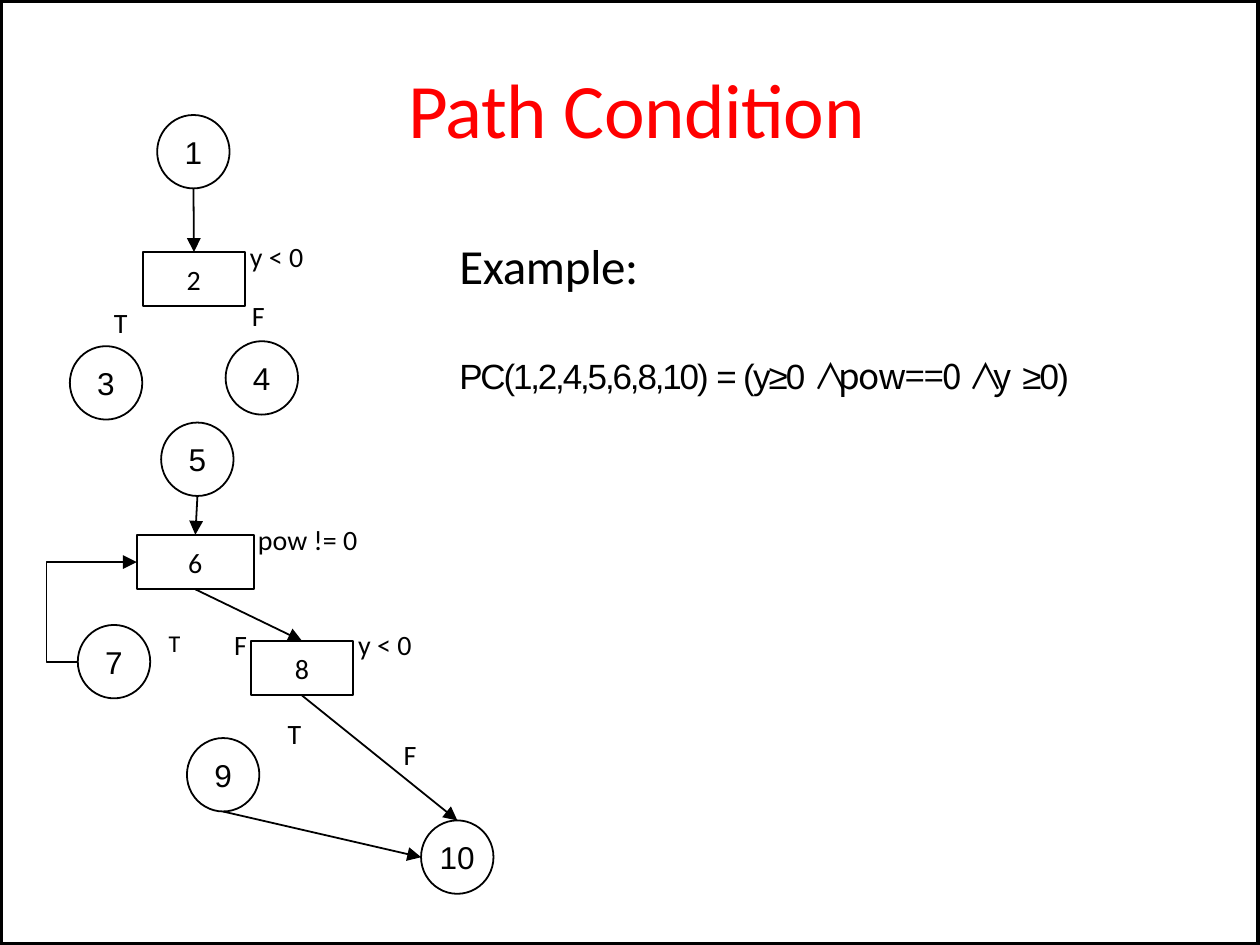
from lxml import etree
from pptx import Presentation, util as u
from pptx.dml.color import RGBColor
from pptx.enum import shapes, text
from pptx.oxml import ns

TOP, LEFT, BOTTOM, RIGHT = range(4)


def colour(hex_string):
    return RGBColor.from_string(hex_string)


class Painter:
    ink, accent = "000000", "FF0000"
    body, digits, symbols = "Calibri", "Arial", "Noto Sans CJK JP"
    thin = 0.5
    circle_w, circle_h, box_h = 0.73, 0.74, 0.55

    def __init__(self, slide):
        self.s = slide

    def run(self, p, words, size, font, spacing=0, ink=None):
        r = p.add_run()
        r.text = words
        r.font.size, r.font.name = u.Pt(size), font
        r.font.color.rgb = colour(ink or self.ink)
        rpr = r.font._element
        if spacing:
            rpr.set("spc", str(round(spacing * 100)))
        if font == self.symbols:
            etree.SubElement(rpr, ns.qn("a:ea")).set("typeface", font)
        return r

    def textbox(self, x, y, w, h, wrap=False):
        tf = self.s.shapes.add_textbox(u.Cm(x), u.Cm(y), u.Cm(w), u.Cm(h)).text_frame
        tf.word_wrap = wrap
        tf.margin_left, tf.margin_top = u.Cm(0.03), u.Cm(0.06)
        tf.margin_right = tf.margin_bottom = 0
        return tf.paragraphs[0]

    def label(self, x, y, words):
        self.run(self.textbox(x, y, 0.25 * len(words), 0.41), words, 8, self.body)

    def outline(self, sp, width):
        sp.shadow.inherit = False
        sp.fill.background()
        sp.line.color.rgb = colour(self.ink)
        sp.line.width = u.Pt(width)

    def shape(self, kind, x, y, w, h, width):
        sp = self.s.shapes.add_shape(kind, u.Cm(x), u.Cm(y), u.Cm(w), u.Cm(h))
        self.outline(sp, width)
        return sp

    def node(self, kind, x, y, w, h, words, size, font):
        sp = self.shape(kind, x, y, w, h, self.thin)
        tf = sp.text_frame
        tf.word_wrap = False
        tf.margin_left = tf.margin_top = tf.margin_right = tf.margin_bottom = 0
        tf.vertical_anchor = text.MSO_ANCHOR.MIDDLE
        p = tf.paragraphs[0]
        p.alignment = text.PP_ALIGN.CENTER
        self.run(p, words, size, font)
        return sp

    def circle(self, cx, cy, words):
        w, h = self.circle_w, self.circle_h
        return self.node(shapes.MSO_SHAPE.OVAL, cx - w / 2, cy - h / 2, w, h,
                         words, 9, self.digits)

    def box(self, x, y, w, words):
        return self.node(shapes.MSO_SHAPE.RECTANGLE, x, y, w, self.box_h,
                         words, 8, self.body)

    def side(self, sp, n):
        dx, dy = ((0.5, 0), (0, 0.5), (0.5, 1), (1, 0.5))[n]
        return int(sp.left + sp.width * dx), int(sp.top + sp.height * dy)

    def arrowhead(self, line):
        ln = line._get_or_add_ln()
        etree.SubElement(ln, ns.qn("a:tailEnd"), type="triangle", w="sm", len="sm")

    def arrow(self, start, start_side, end, end_side):
        c = self.s.shapes.add_connector(shapes.MSO_CONNECTOR.STRAIGHT,
                                        *self.side(start, start_side),
                                        *self.side(end, end_side))
        c.line.color.rgb = colour(self.ink)
        c.line.width = u.Pt(self.thin)
        self.arrowhead(c.line)
        etree.SubElement(c._element.spPr, ns.qn("a:effectLst"))
        # Ovals number their sides differently, apart from the top
        rectangle = shapes.MSO_SHAPE.RECTANGLE
        if start.auto_shape_type == rectangle:
            c.begin_connect(start, start_side)
        if end.auto_shape_type == rectangle or end_side == TOP:
            c.end_connect(end, end_side)

    def loop_back(self, start, end, x):
        (x1, y1), (x2, y2) = self.side(start, LEFT), self.side(end, LEFT)
        path = self.s.shapes.build_freeform(x1, y1)
        path.add_line_segments([(u.Cm(x), y1), (u.Cm(x), y2), (x2, y2)], close=False)
        sp = path.convert_to_shape()
        self.outline(sp, self.thin)
        self.arrowhead(sp.line)


def main():
    prs = Presentation()
    prs.slide_width, prs.slide_height = u.Cm(12.7), u.Cm(12.7 * 3 / 4)
    d = Painter(prs.slides.add_slide(prs.slide_layouts[6]))

    # Title
    p = d.textbox(4.09, 0.56, 4.72, 0.99)
    d.run(p, "Path ", 22, d.body, -0.2, d.accent)
    d.run(p, "Condition", 22, d.body, -0.1, d.accent)

    # Example
    d.run(d.textbox(4.6, 2.31, 1.9, 0.66), "Example:", 14, d.body, -0.1)
    p = d.textbox(4.6, 3.51, 6.22, 0.9, wrap=True)
    for words, font, spacing in (
        ("PC(1,2,4,5,6,8,10) ", d.digits, -0.6),
        ("= ", d.digits, -0.9),
        ("(y≥0 ", d.digits, -0.5),
        ("∧ ", d.symbols, -5),
        ("pow==0 ", d.symbols, -0.3),
        ("∧ ", d.symbols, -5),
        ("y ", d.symbols, 0.4),
        ("≥0)", d.digits, -0.5),
    ):
        d.run(p, words, 10, font, spacing)

    # Flow graph nodes
    n = {}
    for number, cx, cy in ((1, 1.95, 1.53), (3, 1.07, 3.86), (4, 2.64, 3.81),
                           (5, 1.99, 4.63), (7, 1.15, 6.67), (9, 2.25, 7.81),
                           (10, 4.61, 8.64)):
        n[number] = d.circle(cx, cy, str(number))
    for number, x, y, w in ((2, 1.44, 2.54, 1.03), (6, 1.38, 5.39, 1.18),
                            (8, 2.53, 6.46, 1.03)):
        n[number] = d.box(x, y, w, str(number))

    # Edges
    for start, end, end_side in ((1, 2, TOP), (5, 6, TOP), (6, 8, TOP),
                                 (8, 10, TOP), (9, 10, LEFT)):
        d.arrow(n[start], BOTTOM, n[end], end_side)
    d.loop_back(n[7], n[6], 0.47)

    # Conditions and branch labels
    for x, y, words in ((2.49, 2.36, "y < 0"), (1.12, 3.02, "T"), (2.51, 2.95, "F"),
                        (2.57, 5.21, "pow != 0"), (3.58, 6.27, "y < 0"),
                        (2.87, 7.16, "T"), (4.04, 7.37, "F")):
        d.label(x, y, words)
    p = d.textbox(1.67, 6.12, 0.85, 0.41)
    tabs = etree.SubElement(p._p.get_or_add_pPr(), ns.qn("a:tabLst"))
    etree.SubElement(tabs, ns.qn("a:tab"), pos=str(u.Cm(0.66)), algn="l")
    r = d.run(p, "T\t", 12, d.body)
    r.font._element.set("baseline", "7000")
    d.run(p, "F", 8, d.body)

    # Slide frame
    d.shape(shapes.MSO_SHAPE.RECTANGLE, 0, 0, 12.7, 12.7 * 3 / 4, 1.92)

    prs.save("out.pptx")


if __name__ == "__main__":
    main()
